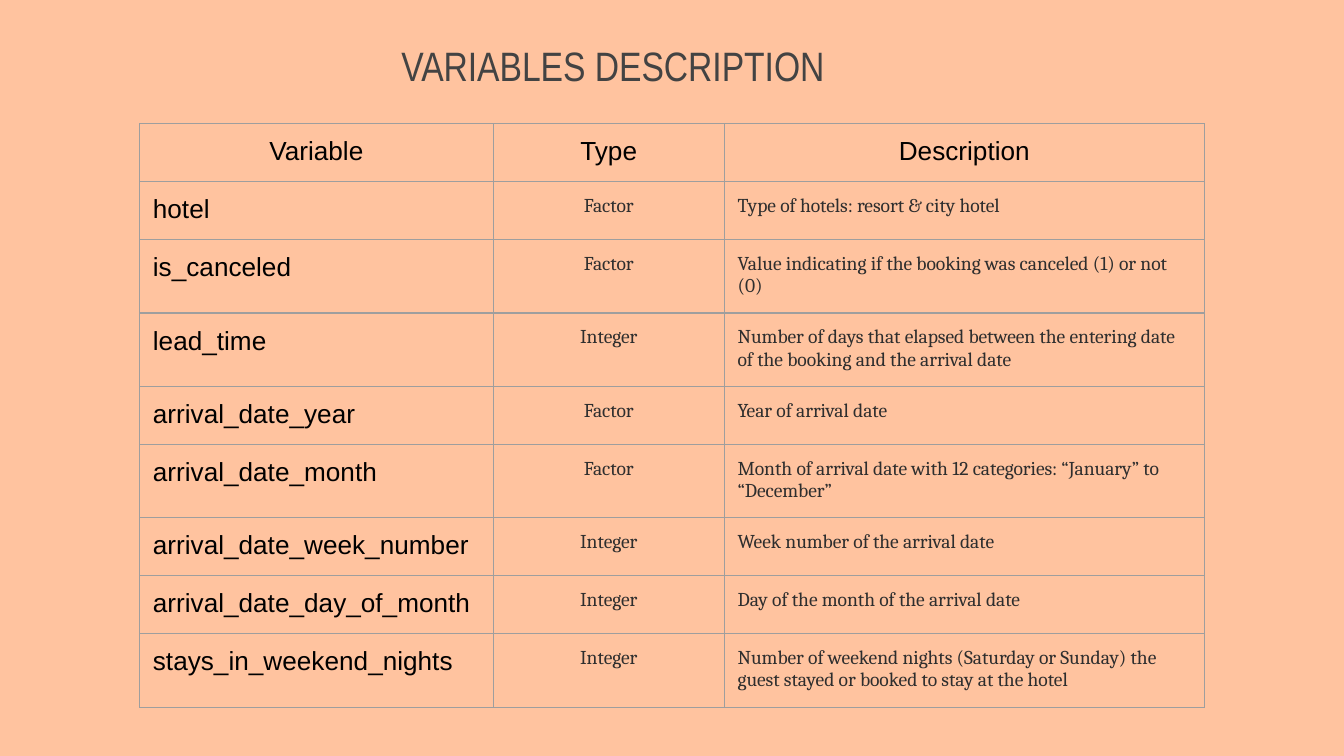
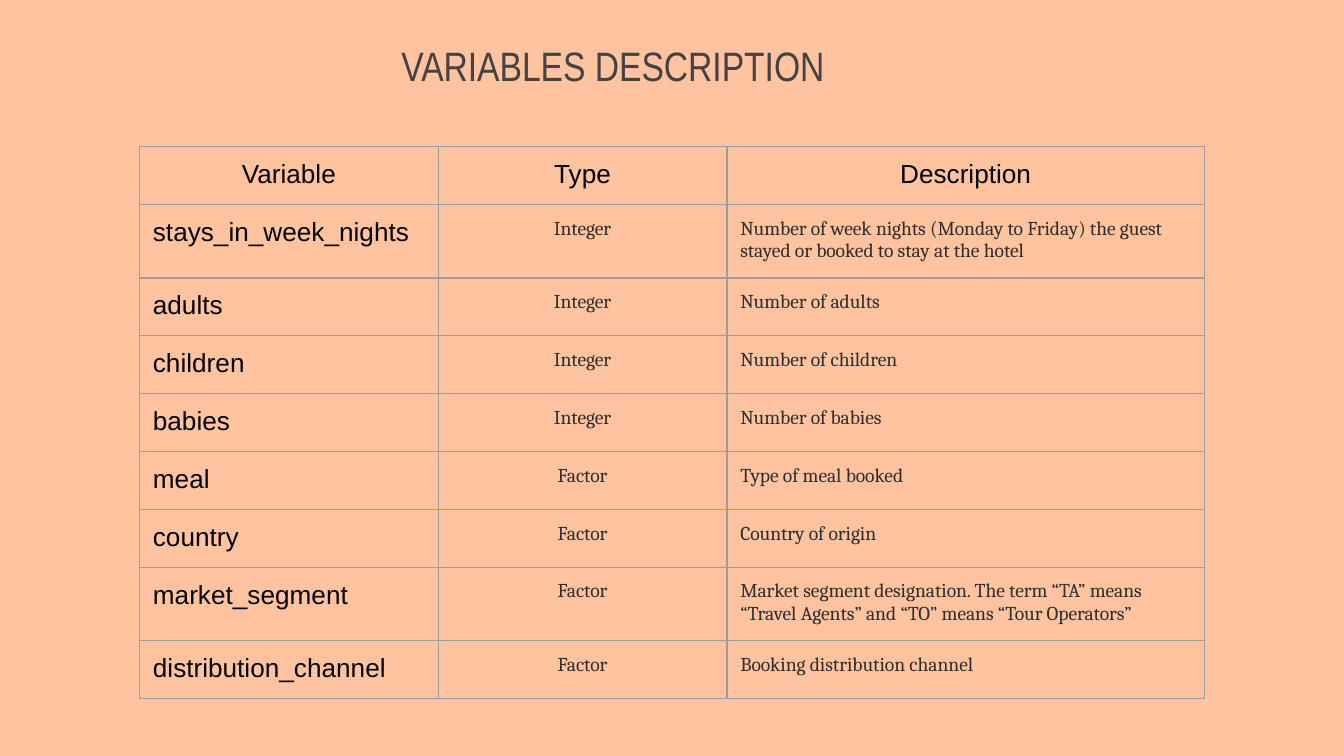
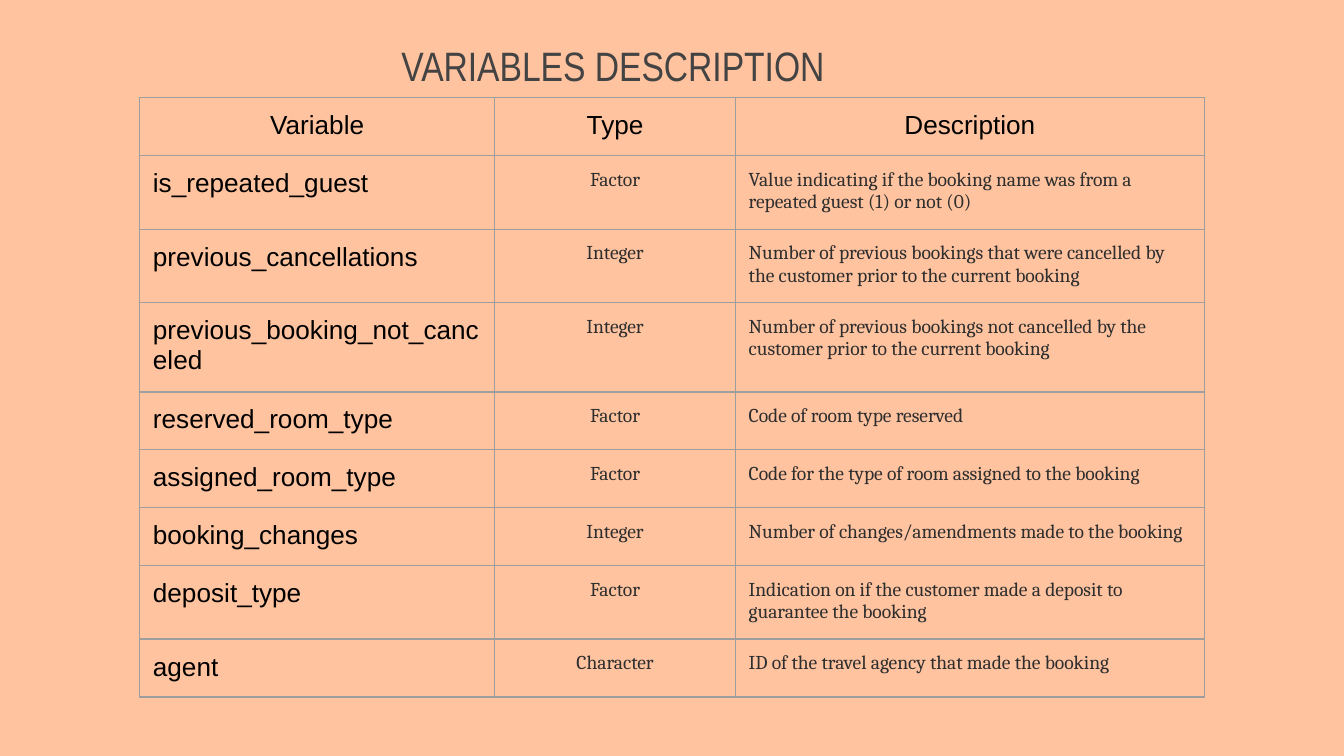
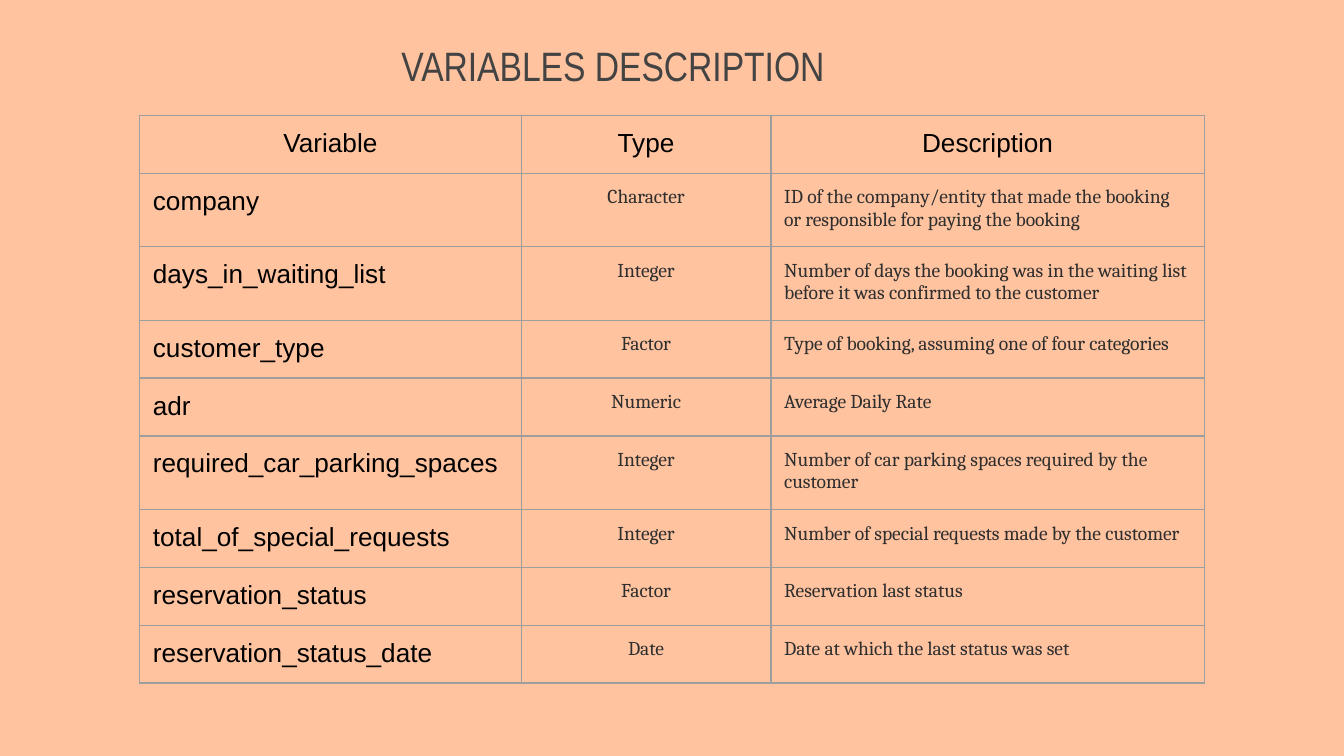
from dataclasses import dataclass

from lxml import etree
from pptx import Presentation
from pptx import util as u
from pptx.dml.color import RGBColor
from pptx.enum import text
from pptx.oxml import ns


@dataclass(frozen=True)
class Theme:
    background: str = "FFC39F"
    border: str = "9E9E9E"
    border_width: float = 0.75
    title: tuple = ("Arial Narrow", 22, "434343")
    label: tuple = ("Arial", 14, "000000")
    detail: tuple = ("Cambria", 10.5, "2E2E2E")


THEME = Theme()
TITLE = "VARIABLES DESCRIPTION"
HEADINGS = ("Variable", "Type", "Description")
TABLE_LEFT, TABLE_WIDTH, ROW_HEIGHT = 2.64, 20.12, 1.06
CENTER, LEFT = text.PP_ALIGN.CENTER, text.PP_ALIGN.LEFT

BOOKING_AND_ARRIVAL = [
    ("hotel", "Factor", "Type of hotels: resort & city hotel"),
    ("is_canceled", "Factor",
     "Value indicating if the booking was canceled (1) or not (0)"),
    ("lead_time", "Integer",
     "Number of days that elapsed between the entering date of the booking and the arrival date"),
    ("arrival_date_year", "Factor", "Year of arrival date"),
    ("arrival_date_month", "Factor",
     "Month of arrival date with 12 categories: “January” to “December”"),
    ("arrival_date_week_number", "Integer", "Week number of the arrival date"),
    ("arrival_date_day_of_month", "Integer", "Day of the month of the arrival date"),
    ("stays_in_weekend_nights", "Integer",
     "Number of weekend nights (Saturday or Sunday) the guest stayed or booked to stay at the hotel"),
]
GUESTS_AND_CHANNEL = [
    ("stays_in_week_nights", "Integer",
     "Number of week nights (Monday to Friday) the guest stayed or booked to stay at the hotel"),
    ("adults", "Integer", "Number of adults"),
    ("children", "Integer", "Number of children"),
    ("babies", "Integer", "Number of babies"),
    ("meal", "Factor", "Type of meal booked"),
    ("country", "Factor", "Country of origin"),
    ("market_segment", "Factor",
     "Market segment designation. The term “TA” means “Travel Agents” and “TO” means “Tour Operators”"),
    ("distribution_channel", "Factor", "Booking distribution channel"),
]
HISTORY_AND_ROOM = [
    ("is_repeated_guest", "Factor",
     "Value indicating if the booking name was from a repeated guest (1) or not (0)"),
    ("previous_cancellations", "Integer",
     "Number of previous bookings that were cancelled by the customer prior to the current booking"),
    ("previous_booking_not_canceled", "Integer",
     "Number of previous bookings not cancelled by the customer prior to the current booking"),
    ("reserved_room_type", "Factor", "Code of room type reserved"),
    ("assigned_room_type", "Factor", "Code for the type of room assigned to the booking"),
    ("booking_changes", "Integer", "Number of changes/amendments made to the booking"),
    ("deposit_type", "Factor",
     "Indication on if the customer made a deposit to guarantee the booking"),
    ("agent", "Character", "ID of the travel agency that made the booking"),
]
CUSTOMER_AND_STATUS = [
    ("company", "Character",
     "ID of the company/entity that made the booking or responsible for paying the booking"),
    ("days_in_waiting_list", "Integer",
     "Number of days the booking was in the waiting list before it was confirmed to the customer"),
    ("customer_type", "Factor", "Type of booking, assuming one of four categories"),
    ("adr", "Numeric", "Average Daily Rate"),
    ("required_car_parking_spaces", "Integer",
     "Number of car parking spaces required by the customer"),
    ("total_of_special_requests", "Integer",
     "Number of special requests made by the customer"),
    ("reservation_status", "Factor", "Reservation last status"),
    ("reservation_status_date", "Date", "Date at which the last status was set"),
]

VARIABLE_SLIDES = [
    (2.34, 6.68, 4.37, BOOKING_AND_ARRIVAL),
    (2.77, 5.64, 5.46, GUESTS_AND_CHANNEL),
    (1.85, 6.71, 4.55, HISTORY_AND_ROOM),
    (2.18, 7.21, 4.72, CUSTOMER_AND_STATUS),
]


def apply(target, values):
    for name, value in values.items():
        setattr(target, name, value)


def margins(size):
    return {f"margin_{side}": u.Cm(size) for side in ("left", "right", "top", "bottom")}


def write(frame, wording, style, alignment):
    family, size, color = style
    paragraph = frame.paragraphs[0]
    paragraph.alignment = alignment
    run = paragraph.add_run()
    run.text = wording
    apply(run.font, {"name": family, "size": u.Pt(size), "bold": False})
    run.font.color.rgb = RGBColor.from_string(color)


def add_title(slide):
    heading = slide.shapes.add_textbox(u.Cm(0.89), u.Cm(0.58), u.Cm(21.39), u.Cm(1.12))
    apply(heading.text_frame, {
        "word_wrap": True,
        "vertical_anchor": text.MSO_ANCHOR.BOTTOM,
        **margins(0),
    })
    write(heading.text_frame, TITLE, THEME.title, CENTER)


def add_borders(cell):
    properties = cell._tc.get_or_add_tcPr()
    for position, edge in enumerate(("lnL", "lnR", "lnT", "lnB")):
        line = etree.Element(ns.qn(f"a:{edge}"), w=str(u.Pt(THEME.border_width)))
        fill = etree.SubElement(line, ns.qn("a:solidFill"))
        etree.SubElement(fill, ns.qn("a:srgbClr"), val=THEME.border)
        properties.insert(position, line)


def fill_cell(cell, wording, style, alignment):
    apply(cell, margins(0.25))
    cell.fill.background()
    add_borders(cell)
    write(cell.text_frame, wording, style, alignment)


def add_variable_table(slide, top, variable_width, type_width, variables):
    rows = [HEADINGS, *variables]
    widths = (variable_width, type_width, TABLE_WIDTH - variable_width - type_width)
    table = slide.shapes.add_table(
        len(rows), len(HEADINGS), u.Cm(TABLE_LEFT), u.Cm(top),
        u.Cm(TABLE_WIDTH), u.Cm(ROW_HEIGHT * len(rows))).table
    apply(table, {"first_row": False, "horz_banding": False})
    for column, width in zip(table.columns, widths):
        column.width = u.Cm(width)
    for r, row in enumerate(rows):
        table.rows[r].height = u.Cm(ROW_HEIGHT)
        for c, wording in enumerate(row):
            style = THEME.label if r == 0 or c == 0 else THEME.detail
            alignment = CENTER if r == 0 or c == 1 else LEFT
            fill_cell(table.cell(r, c), wording, style, alignment)


def add_slide(deck):
    slide = deck.slides.add_slide(deck.slide_layouts[6])
    backdrop = slide.background.fill
    backdrop.solid()
    backdrop.fore_color.rgb = RGBColor.from_string(THEME.background)
    return slide


def main():
    deck = Presentation()
    apply(deck, {"slide_width": u.Cm(25.4), "slide_height": u.Cm(14.29)})
    for top, variable_width, type_width, variables in VARIABLE_SLIDES:
        slide = add_slide(deck)
        add_title(slide)
        add_variable_table(slide, top, variable_width, type_width, variables)
    deck.save("out.pptx")


if __name__ == "__main__":
    main()
